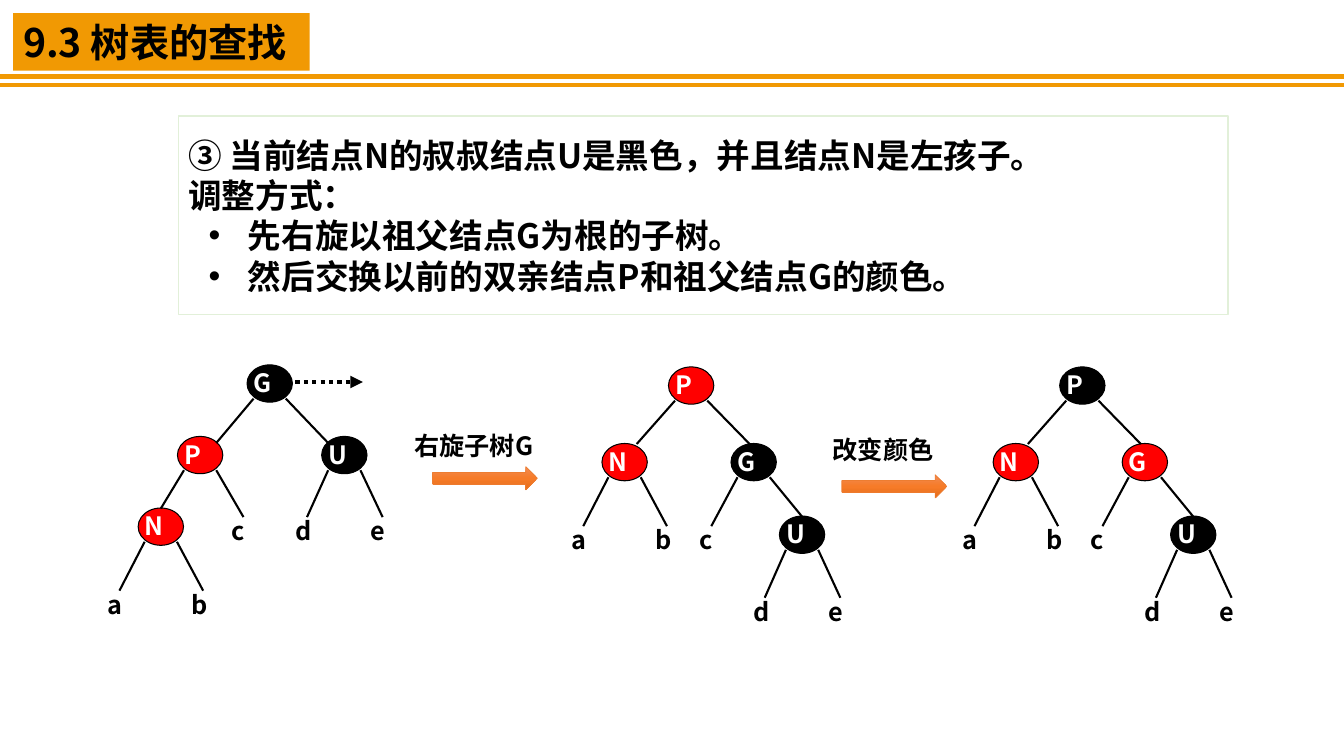
import copy

import pptx
import pptx.util
import pptx.dml.color
import pptx.enum.dml
import pptx.enum.shapes
import pptx.enum.text
import pptx.oxml
import pptx.oxml.ns
from pptx.util import Inches

# Content
FONT = "Noto Sans CJK SC"
COLORS = {"orange": "F19903", "black": "000000", "red": "FF0000", "white": "FFFFFF",
          "mint": "E2F0D9", "arrow": "ED7D31"}
ARROW_STOPS = [(0, "F18C57"), (0.5, "F67B28"), (1, "E56C19")]
TITLE = "9.3 树表的查找"
RULE_TOPS = [0.76, 0.84]
EXPLANATION = [
    ("③ 当前结点N的叔叔结点U是黑色，并且结点N是左孩子。", False),
    ("调整方式：", False),
    ("先右旋以祖父结点G为根的子树。", True),
    ("然后交换以前的双亲结点P和祖父结点G的颜色。", True),
]
# Steps: caption, caption box, arrow left and top
STEPS = [("右旋子树G", (4.11, 4.28, 1.6, 0.27), (4.29, 4.63)),
         ("改变颜色", (8.26, 4.32, 1.43, 0.27), (8.35, 4.71))]

# Trees: inner nodes and leaves by left and top;
# edges are parent, child, side (-1 left, 1 right), end offset from the child's centre
TOP = (0, -0.18)
BEFORE = {
    "nodes": {"G": (2.45, 3.62), "P": (1.76, 4.33), "N": (1.37, 5.04), "U": (3.19, 4.33)},
    "leaves": {"c": (2.3, 5.13), "e": (3.68, 5.13), "d": (2.93, 5.13),
               "a": (1.07, 5.86), "b": (1.9, 5.86)},
    "edges": [("G", "P", -1, (0.16, -0.12)), ("G", "U", 1, (-0.16, -0.12)),
              ("P", "N", -1, TOP), ("P", "c", 1, None), ("U", "d", -1, None),
              ("U", "e", 1, None), ("N", "a", -1, None), ("N", "b", 1, None)],
}
ROTATED = {
    "nodes": {"P": (6.63, 3.64), "N": (5.97, 4.4), "U": (7.73, 5.12), "G": (7.25, 4.4)},
    "leaves": {"c": (6.94, 5.22), "e": (8.22, 5.93), "d": (7.47, 5.93),
               "a": (5.67, 5.22), "b": (6.5, 5.22)},
    "edges": [("P", "N", -1, (0.12, -0.18)), ("P", "G", 1, (-0.04, -0.18)),
              ("G", "c", -1, None), ("G", "U", 1, TOP), ("U", "d", -1, None),
              ("U", "e", 1, None), ("N", "a", -1, None), ("N", "b", 1, None)],
}
# Tree, shift to the right, red nodes
TREES = [(BEFORE, 0, "PN"), (ROTATED, 0, "PN"), (ROTATED, 3.88, "NG")]
NODE_W, NODE_H = 0.45, 0.37
LEAF_W, LEAF_H = 0.23, 0.27

prs = pptx.Presentation()
prs.slide_width, prs.slide_height = Inches(13.33), Inches(7.5)
s = prs.slides.add_slide(prs.slide_layouts[5])
SHAPES = pptx.enum.shapes.MSO_SHAPE


def rgb(name):
    return pptx.dml.color.RGBColor.from_string(COLORS.get(name, name))


def add_xml(parent, tag, **attrs):
    child = pptx.oxml.parse_xml(f"<{tag} {pptx.oxml.ns.nsdecls('a')}/>")
    for key, value in attrs.items():
        child.set(key, value)
    parent.append(child)


def write(p, text, size, color="black"):
    p.alignment = pptx.enum.text.PP_ALIGN.LEFT
    r = p.add_run()
    r.text = text
    style = {"size": pptx.util.Pt(size), "bold": True, "name": FONT}
    for key, value in style.items():
        setattr(r.font, key, value)
    r.font.color.rgb = rgb(color)
    add_xml(r._r.get_or_add_rPr(), "a:ea", typeface=FONT)


def frame(sp, inset=True, wrap=True):
    tf = sp.text_frame
    settings = {"word_wrap": wrap, "auto_size": pptx.enum.text.MSO_AUTO_SIZE.NONE,
                "vertical_anchor": pptx.enum.text.MSO_ANCHOR.MIDDLE}
    if not inset:
        settings.update(dict.fromkeys(
            ["margin_left", "margin_top", "margin_right", "margin_bottom"], 0))
    for key, value in settings.items():
        setattr(tf, key, value)
    return tf


def shape(kind, box, fill, line, width):
    sp = s.shapes.add_shape(kind, *map(Inches, box))
    sp.shadow.inherit = False
    if fill:
        sp.fill.solid()
        sp.fill.fore_color.rgb = rgb(fill)
    sp.line.color.rgb = rgb(line)
    sp.line.width = pptx.util.Pt(width)
    return sp


def label(text, box):
    sp = s.shapes.add_textbox(*map(Inches, box))
    write(frame(sp, inset=False).paragraphs[0], text, 18)


def line(start, end, color="black", width=1.5):
    c = s.shapes.add_connector(pptx.enum.shapes.MSO_CONNECTOR.STRAIGHT,
                               *map(Inches, (*start, *end)))
    c.line.color.rgb = rgb(color)
    c.line.width = pptx.util.Pt(width)
    add_xml(c._element.spPr, "a:effectLst")
    return c


def draw_tree(tree, shift, reds):
    centres = {}
    for name, (x, y) in tree["nodes"].items():
        x += shift
        centres[name] = (x + NODE_W / 2, y + NODE_H / 2)
        sp = shape(SHAPES.OVAL, (x, y, NODE_W, NODE_H),
                   "red" if name in reds else "black", "black", 0.75)
        p = frame(sp, inset=False).paragraphs[0]
        p.line_spacing = pptx.util.Pt(20)
        write(p, name, 18, "white")
    for name, (x, y) in tree["leaves"].items():
        label(name, (x + shift, y, LEAF_W, LEAF_H))
    for parent, child, side, offset in tree["edges"]:
        px, py = centres[parent]
        if offset:
            end = (centres[child][0] + offset[0], centres[child][1] + offset[1])
        else:
            x, y = tree["leaves"][child]
            end = (x + shift + LEAF_W / 2, y)
        line((px + side * 0.16, py + 0.15), end)


# Title bar and double rule
title = s.shapes.title
title.left, title.top, title.width, title.height = map(Inches, (0.13, 0.13, 2.94, 0.57))
title.fill.solid()
title.fill.fore_color.rgb = rgb("orange")
write(frame(title, wrap=False).paragraphs[0], TITLE, 28)
for top in RULE_TOPS:
    line((0, top), (13.33, top), "orange", 3)

# Explanation
tf = frame(shape(SHAPES.RECTANGLE, (1.77, 1.15, 10.41, 1.97), "white", "mint", 1))
for i, (text, bulleted) in enumerate(EXPLANATION):
    p = tf.add_paragraph() if i else tf.paragraphs[0]
    if bulleted:
        pPr = p._p.get_or_add_pPr()
        pPr.set("marL", str(Inches(0.59)))
        pPr.set("indent", str(Inches(-0.39)))
        add_xml(pPr, "a:buFont", typeface="Arial")
        add_xml(pPr, "a:buChar", char="•")
    write(p, text, 24)

# Trees
for tree, shift, reds in TREES:
    draw_tree(tree, shift, reds)

# Dotted rotation arrow beside G
rotation = line((2.93, 3.79), (3.6, 3.79), width=3)
rotation.line.dash_style = pptx.enum.dml.MSO_LINE.ROUND_DOT
add_xml(rotation.line._get_or_add_ln(), "a:tailEnd", type="triangle")

# Step captions and block arrows
for caption, box, (x, y) in STEPS:
    label(caption, box)
    sp = shape(SHAPES.RIGHT_ARROW, (x, y, 1.04, 0.23), None, "arrow", 0.5)
    sp.fill.gradient()
    sp.fill.gradient_angle = 270
    first = sp._element.spPr.find(".//" + pptx.oxml.ns.qn("a:gs"))
    first.addnext(copy.deepcopy(first))
    for stop, (position, color) in zip(sp.fill.gradient_stops, ARROW_STOPS):
        stop.position = position
        stop.color.rgb = rgb(color)

prs.save("out.pptx")
